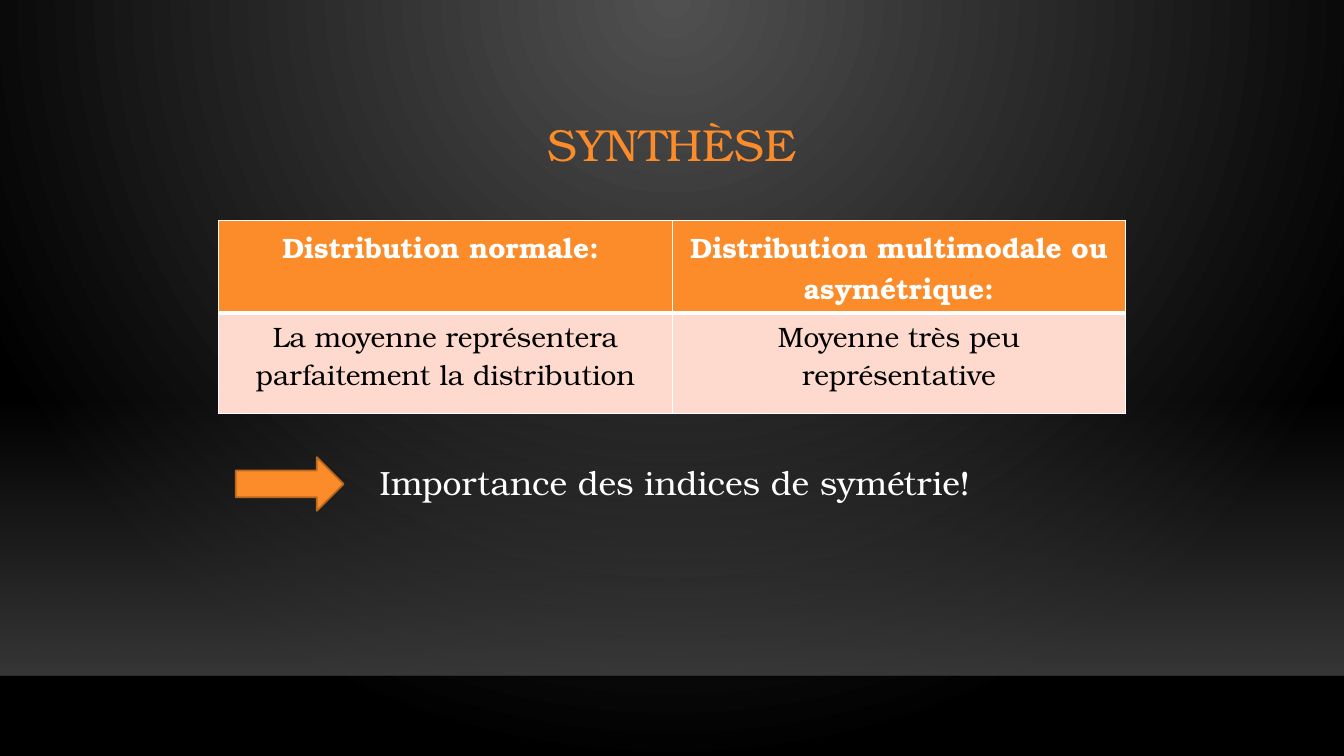
from lxml import etree
from pptx import Presentation
from pptx.dml.color import RGBColor
from pptx.enum import shapes, text
from pptx.oxml import ns
from pptx.util import Cm, Pt

FONT = "TeX Gyre Bonum"
ORANGE, WHITE, BLACK = "FB8C29", "FFFFFF", "000000"
WIDTH, HEIGHT = 33.87, 19.05
ROWS = [
    ["Distribution normale: ", "Distribution multimodale ou asymétrique:"],
    ["La moyenne représentera parfaitement la distribution",
     "Moyenne très peu représentative"],
]


def rgb(value):
    return RGBColor.from_string(value)


def add_child(parent, tag, **attributes):
    child = etree.SubElement(parent, ns.qn(tag))
    for name, value in attributes.items():
        child.set(name, str(value))
    return child


def set_gradient(fill, *colours):
    fill.gradient()
    for stop, colour in zip(fill.gradient_stops, colours):
        stop.color.rgb = rgb(colour)


def set_alphas(element, *percents):
    """Set the opacity of each colour inside the element, in order."""
    for colour, percent in zip(element.iter(ns.qn("a:srgbClr")), percents):
        add_child(colour, "a:alpha", val=percent * 1000)


def style(para, size, colour, align=text.PP_ALIGN.LEFT, bold=False):
    para.alignment = align
    para.font.name = FONT
    para.font.size = Pt(size)
    para.font.bold = bold
    para.font.color.rgb = rgb(colour)


def add_text(page, box, words, size, colour, align=text.PP_ALIGN.LEFT,
             anchor=text.MSO_ANCHOR.TOP):
    frame = page.shapes.add_textbox(*map(Cm, box)).text_frame
    frame.word_wrap = True
    frame.vertical_anchor = anchor
    para = frame.paragraphs[0]
    para.text = words
    style(para, size, colour, align)
    return para


def add_backdrop(page, floor_top, floor_bottom):
    """Spotlight from the top centre and a floor that brightens downwards."""
    set_gradient(page.background.fill, "505050", BLACK)
    linear = next(page.background._cSld.iter(ns.qn("a:lin")))
    radial = etree.Element(ns.qn("a:path"))
    radial.set("path", "circle")
    add_child(radial, "a:fillToRect", l=43000, t=0, r=43000, b=100000)
    linear.getparent().replace(linear, radial)

    floor = page.shapes.add_shape(
        shapes.MSO_SHAPE.RECTANGLE, 0, Cm(floor_top), Cm(WIDTH), Cm(floor_bottom - floor_top))
    floor.shadow.inherit = False
    floor.line.fill.background()
    set_gradient(floor.fill, "454545", "454545")
    floor.fill.gradient_angle = 270
    set_alphas(floor._element.spPr, 0, 80)

    edge = page.shapes.add_connector(
        shapes.MSO_CONNECTOR.STRAIGHT, 0, Cm(floor_bottom), Cm(WIDTH), Cm(floor_bottom))
    edge.line.color.rgb = rgb("000001")
    edge.line.width = Pt(1)
    set_alphas(edge._element.spPr, 20)
    add_child(edge._element.spPr, "a:effectLst")


def set_borders(cell, **widths):
    properties = cell._tc.get_or_add_tcPr()
    for index, (side, width) in enumerate(widths.items()):
        line = etree.Element(ns.qn(f"a:ln{side}"))
        line.set("w", str(Pt(width)))
        add_child(add_child(line, "a:solidFill"), "a:srgbClr", val=WHITE)
        properties.insert(index, line)


def add_comparison(page, left, top, width, row_heights):
    table = page.shapes.add_table(
        len(ROWS), len(ROWS[0]), Cm(left), Cm(top), Cm(width), Cm(sum(row_heights))).table
    for column in table.columns:
        column.width = Cm(width / len(ROWS[0]))
    for index, (row, height) in enumerate(zip(table.rows, row_heights)):
        row.height = Cm(height)
        header = index == 0
        for cell, words in zip(row.cells, ROWS[index]):
            cell.fill.solid()
            cell.fill.fore_color.rgb = rgb(ORANGE if header else "FDDACD")
            set_borders(cell, L=1, R=1, T=1 if header else 3, B=3 if header else 1)
            para = cell.text_frame.paragraphs[0]
            para.text = words
            style(para, 20, WHITE if header else BLACK, text.PP_ALIGN.CENTER, header)


def add_conclusion(page, left, top):
    arrow = page.shapes.add_shape(
        shapes.MSO_SHAPE.RIGHT_ARROW, Cm(left), Cm(top), Cm(2.72), Cm(1.35))
    arrow.shadow.inherit = False
    arrow.fill.solid()
    arrow.fill.fore_color.rgb = rgb(ORANGE)
    arrow.line.color.rgb = rgb("BA681E")
    arrow.line.width = Pt(1.25)
    add_text(page, (left + 3.38, top, 16.41, 1.27),
             "Importance des indices de symétrie!", 24, WHITE)


def main():
    deck = Presentation()
    deck.slide_width, deck.slide_height = Cm(WIDTH), Cm(HEIGHT)
    page = deck.slides.add_slide(deck.slide_layouts[6])
    add_backdrop(page, 10.06, 17.03)
    title = add_text(page, (4.04, 2.24, 25.81, 2.92), "SYNTHÈSE", 32, ORANGE,
                     text.PP_ALIGN.CENTER, text.MSO_ANCHOR.MIDDLE)
    title.line_spacing = 0.9
    add_comparison(page, 5.51, 5.56, 22.86, (2.32, 2.54))
    add_conclusion(page, 5.94, 11.52)
    deck.save("out.pptx")


if __name__ == "__main__":
    main()
